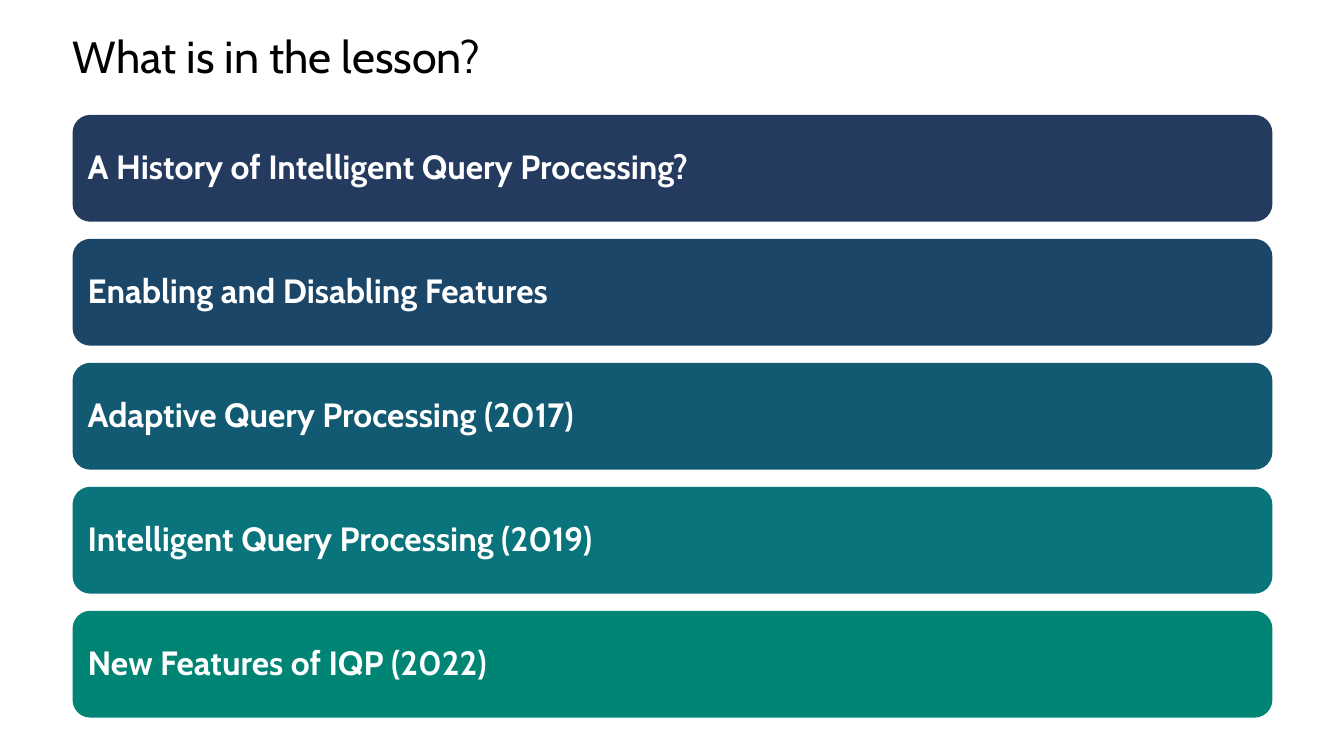
from dataclasses import dataclass

from pptx import Presentation
from pptx import util as u
from pptx.dml import color
from pptx.enum import shapes, text

FONT = "Cabin"
LEFT, WIDTH = 0.72, 11.9
FIRST_TOP, PITCH, BAR_HEIGHT = 1.14, 1.23, 1.06


@dataclass
class Topic:
    label: str
    fill: str


TOPICS = [
    Topic("A History of Intelligent Query Processing?", "243A5E"),
    Topic("Enabling and Disabling Features", "1B4668"),
    Topic("Adaptive Query Processing (2017)", "125A71"),
    Topic("Intelligent Query Processing (2019)", "09747B"),
    Topic("New Features of IQP (2022)", "008575"),
]


def rgb(value: str) -> color.RGBColor:
    return color.RGBColor.from_string(value)


def write(shape, wording: str, size: int, ink: str, bold: bool, inset: float, anchor) -> None:
    """Fill the shape with one left-aligned line of text."""
    frame = shape.text_frame
    frame.text = wording
    frame.word_wrap = True
    frame.vertical_anchor = anchor
    frame.margin_left = frame.margin_right = u.Inches(inset)
    frame.margin_top = frame.margin_bottom = u.Inches(inset)
    line = frame.paragraphs[0]
    line.alignment = text.PP_ALIGN.LEFT
    line.line_spacing = 0.9
    font = line.runs[0].font
    font.name, font.size, font.bold = FONT, u.Pt(size), bold
    font.color.rgb = rgb(ink)


def add_title(slide, wording: str) -> None:
    title = slide.shapes.add_textbox(
        u.Inches(LEFT), u.Inches(0.35), u.Inches(WIDTH), u.Inches(0.5))
    write(title, wording, 32, "000000", False, 0, text.MSO_ANCHOR.TOP)


def add_topic(slide, topic: Topic, top: float) -> None:
    bar = slide.shapes.add_shape(
        shapes.MSO_SHAPE.ROUNDED_RECTANGLE,
        u.Inches(LEFT), u.Inches(top), u.Inches(WIDTH), u.Inches(BAR_HEIGHT))
    bar.shadow.inherit = False
    bar.fill.solid()
    bar.fill.fore_color.rgb = rgb(topic.fill)
    bar.line.fill.background()
    write(bar, topic.label, 24, "FFFFFF", True, 0.1, text.MSO_ANCHOR.MIDDLE)


def main() -> None:
    deck = Presentation()
    deck.slide_width, deck.slide_height = u.Inches(13.33), u.Inches(7.5)
    slide = deck.slides.add_slide(deck.slide_layouts[6])
    add_title(slide, "What is in the lesson?")
    for row, topic in enumerate(TOPICS):
        add_topic(slide, topic, FIRST_TOP + row * PITCH)
    deck.save("out.pptx")


if __name__ == "__main__":
    main()
